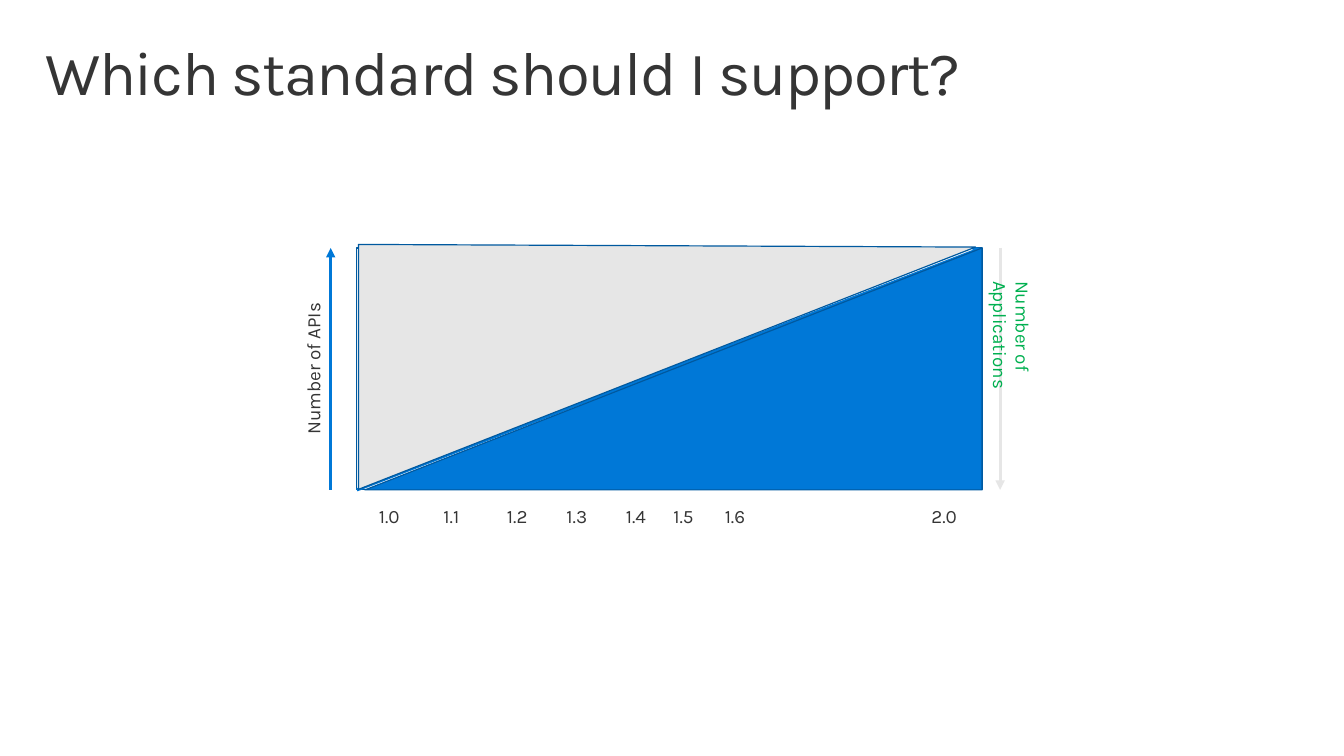
from dataclasses import dataclass

from pptx import Presentation
from pptx.dml.color import RGBColor
from pptx.enum.shapes import MSO_CONNECTOR, MSO_SHAPE
from pptx.enum.text import MSO_ANCHOR, MSO_AUTO_SIZE
from pptx.oxml import parse_xml
from pptx.oxml.ns import nsdecls
from pptx.util import Inches, Pt


@dataclass(frozen=True)
class Theme:
    font: str = "Karla"
    ink: str = "353535"
    blue: str = "0078D7"
    edge: str = "00599F"
    gray: str = "E6E6E6"
    green: str = "00B050"
    head: float = 44
    label: float = 13.5
    thin: float = 0.85
    thick: float = 2.25


class Board:
    """Holds the theme and the slide being drawn."""

    def __init__(self, slide, theme):
        self.slide = slide
        self.theme = theme

    def text(self, words, box, size=None, color=None, turn=0, inset=(0.1, 0.05),
             grow=True, lead=None, track=None):
        shape = self.slide.shapes.add_textbox(*map(Inches, box))
        shape.rotation = turn
        frame = shape.text_frame
        frame.word_wrap = True
        frame.vertical_anchor = MSO_ANCHOR.TOP
        frame.auto_size = MSO_AUTO_SIZE.SHAPE_TO_FIT_TEXT if grow else MSO_AUTO_SIZE.NONE
        frame.margin_left = frame.margin_right = Inches(inset[0])
        frame.margin_top = frame.margin_bottom = Inches(inset[1])
        para = frame.paragraphs[0]
        para.line_spacing = lead
        run = para.add_run()
        run.text = words
        run.font.name = self.theme.font
        run.font.size = Pt(size or self.theme.label)
        run.font.color.rgb = RGBColor.from_string(color or self.theme.ink)
        if track:
            run._r.get_or_add_rPr().set("spc", str(track * 100))

    def shape(self, kind, box, fill=None, turn=0, tip=None):
        shape = self.slide.shapes.add_shape(kind, *map(Inches, box))
        shape.shadow.inherit = False
        shape.rotation = turn
        if tip is not None:
            shape.adjustments[0] = tip
        if fill:
            shape.fill.solid()
            shape.fill.fore_color.rgb = RGBColor.from_string(fill)
        else:
            shape.fill.background()
        shape.line.color.rgb = RGBColor.from_string(self.theme.edge)
        shape.line.width = Pt(self.theme.thin)

    def arrow(self, start, end, color):
        link = self.slide.shapes.add_connector(
            MSO_CONNECTOR.STRAIGHT, *map(Inches, start + end))
        link.line.color.rgb = RGBColor.from_string(color)
        link.line.width = Pt(self.theme.thick)
        link.line._get_or_add_ln().append(
            parse_xml(f'<a:tailEnd {nsdecls("a")} type="triangle"/>'))
        link._element.spPr.append(parse_xml(f'<a:effectLst {nsdecls("a")}/>'))


def main():
    deck = Presentation()
    deck.slide_width, deck.slide_height = Inches(13.33), Inches(7.5)
    theme = Theme()
    board = Board(deck.slides.add_slide(deck.slide_layouts[6]), theme)

    # Title
    board.text("Which standard should I support?", (0.29, 0.32, 12.75, 0.98),
               size=theme.head, inset=(0.16, 0.1), grow=False, lead=0.9, track=-1)

    # Frame of the diagram
    left, top, width, height = 3.54, 2.46, 6.2, 2.4
    right, base = left + width, top + height
    board.shape(MSO_SHAPE.RECTANGLE, (left, top, width, height))

    # Side axes with their labels
    board.arrow((3.28, base), (3.28, top), theme.blue)
    board.text("Number of APIs", (2.13, 3.27, 1.95, 0.33), turn=270)
    board.arrow((9.92, top), (9.92, base), theme.gray)
    board.text("Number of Applications", (9.06, 3.61, 2.17, 0.33),
               color=theme.green, turn=90)

    # Diagonal and the two wedges
    board.arrow((left, base), (right, top), theme.blue)
    board.shape(MSO_SHAPE.ISOSCELES_TRIANGLE, (5.48, 0.6, 2.4, 6.12),
                fill=theme.blue, turn=270, tip=0)
    board.shape(MSO_SHAPE.ISOSCELES_TRIANGLE, (5.4, 0.58, 2.43, 6.12),
                fill=theme.gray, turn=90, tip=0.011)

    # Version marks: label, left edge, width
    marks = [("1.0", 3.66, 0.53), ("1.1", 4.3, 0.45), ("1.2", 4.93, 0.48),
             ("1.3", 5.52, 0.48), ("1.4", 6.11, 0.47), ("1.5", 6.58, 0.48),
             ("1.6", 7.09, 0.44), ("2.0", 9.14, 0.53)]
    for name, x, wide in marks:
        board.text(name, (x, base + 0.1, wide, 0.33))

    deck.save("out.pptx")


if __name__ == "__main__":
    main()
